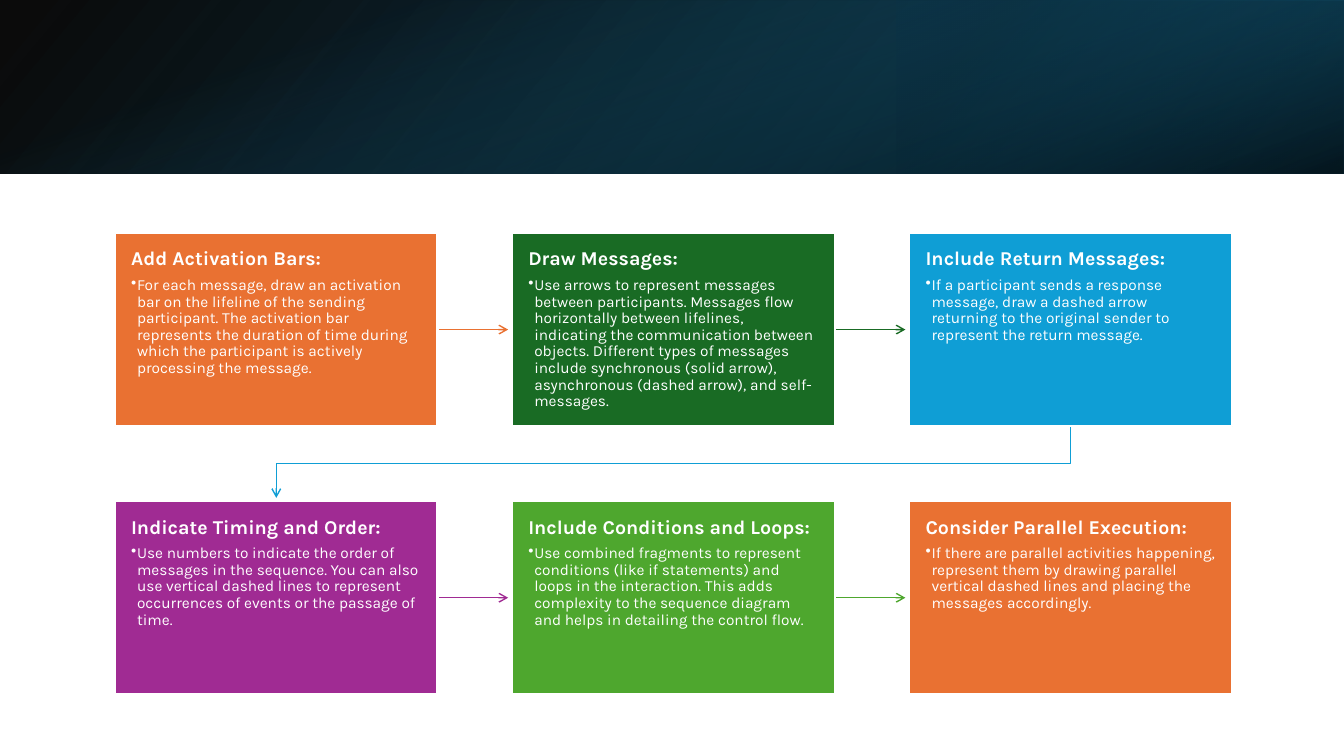
from dataclasses import dataclass

from lxml import etree
from pptx import Presentation
from pptx import util as u
from pptx.dml.color import RGBColor
from pptx.enum import shapes, text
from pptx.oxml import ns


@dataclass(frozen=True)
class Theme:
    font: str = "Karla"
    heading_size: int = 14
    body_size: int = 11
    white: str = "FFFFFF"
    black: str = "000000"
    navy: str = "104862"
    deep_teal: str = "0B3041"
    teal: str = "156082"
    orange: str = "E97132"
    green: str = "196B24"
    blue: str = "0F9ED5"
    purple: str = "A02B93"
    lime: str = "4EA72E"


def apply_format(target, values):
    for name, value in values.items():
        setattr(target, name, value)


def add_child(parent, tag, **attributes):
    return etree.SubElement(parent, ns.qn(tag), attributes)


class SlideBuilder:
    def __init__(self, slide, theme):
        self.slide = slide
        self.theme = theme

    def rectangle(self, left, top, width, height):
        shape = self.slide.shapes.add_shape(
            shapes.MSO_SHAPE.RECTANGLE, *map(u.Inches, (left, top, width, height)))
        shape.shadow.inherit = False
        return shape

    def gradient_band(self, bounds, stops, angle, rotation=0, flip=False):
        """Stops are (position, colour, opacity) in percent; angle is clockwise."""
        band = self.rectangle(*bounds)
        band.rotation = rotation
        if flip:
            band._element.spPr.xfrm.set("flipH", "1")
        band.line.fill.background()
        band.fill.gradient()
        band.fill.gradient_angle = 360 - angle
        for stop, (position, color, opacity) in zip(band.fill.gradient_stops, stops):
            stop.position = position / 100
            stop.color.rgb = RGBColor.from_string(color)
            color_element = stop._gs.find(ns.qn("a:srgbClr"))
            add_child(color_element, "a:alpha", val=str(opacity * 1000))

    def card(self, left, top, width, height, color, heading, body):
        card = self.rectangle(left, top, width, height)
        card.fill.solid()
        card.fill.fore_color.rgb = RGBColor.from_string(color)
        card.line.color.rgb = RGBColor.from_string(self.theme.white)
        card.line.width = u.Pt(1.5)
        frame = card.text_frame
        margins = dict.fromkeys(
            ("margin_left", "margin_top", "margin_right", "margin_bottom"), u.Inches(0.16))
        apply_format(frame, {
            "word_wrap": True, "vertical_anchor": text.MSO_ANCHOR.TOP, **margins})
        self.fill_paragraph(frame.paragraphs[0], heading, self.theme.heading_size, True, 5)
        bullet = frame.add_paragraph()
        properties = bullet._p.get_or_add_pPr()
        indent = u.Inches(0.06)
        properties.set("marL", str(indent))
        properties.set("indent", str(-indent))
        add_child(properties, "a:buChar", char="•")
        bullet.level = 1
        self.fill_paragraph(bullet, body, self.theme.body_size, False, 1.5)
        return card

    def fill_paragraph(self, paragraph, words, size, bold, space_after):
        apply_format(paragraph, {
            "alignment": text.PP_ALIGN.LEFT, "line_spacing": 0.9,
            "space_before": u.Pt(0), "space_after": u.Pt(space_after)})
        run = paragraph.add_run()
        run.text = words
        apply_format(run.font, {"name": self.theme.font, "size": u.Pt(size), "bold": bold})
        run.font.color.rgb = RGBColor.from_string(self.theme.white)

    def arrow_line(self, shape, color):
        shape.line.color.rgb = RGBColor.from_string(color)
        shape.line.width = u.Pt(1)
        add_child(shape.line._get_or_add_ln(), "a:tailEnd", type="arrow")

    def arrow(self, start, end, color):
        connector = self.slide.shapes.add_connector(
            shapes.MSO_CONNECTOR.STRAIGHT, *map(u.Inches, (*start, *end)))
        self.arrow_line(connector, color)
        add_child(connector._element.spPr, "a:effectLst")
        return connector

    def bent_arrow(self, points, color):
        start, *others = [tuple(map(u.Inches, point)) for point in points]
        builder = self.slide.shapes.build_freeform(*start)
        builder.add_line_segments(others, close=False)
        route = builder.convert_to_shape()
        route.fill.background()
        route.shadow.inherit = False
        self.arrow_line(route, color)


def main():
    presentation = Presentation()
    presentation.slide_width = u.Inches(13.33)
    presentation.slide_height = u.Inches(7.5)
    theme = Theme()
    slide = presentation.slides.add_slide(presentation.slide_layouts[6])
    builder = SlideBuilder(slide, theme)

    # Header band in three layers
    builder.gradient_band((0, 0, 13.33, 1.72),
                          [(0, theme.black, 96), (100, theme.navy, 100)], 140, flip=True)
    builder.gradient_band((8.89, 0, 4.44, 1.72),
                          [(19, theme.deep_teal, 68), (100, theme.teal, 79)], 320, 180, True)
    builder.gradient_band((5.8, -5.8, 1.72, 13.33),
                          [(23, theme.teal, 0), (99, theme.black, 74)], 340, 90)

    # Steps, in reading order
    steps = [
        (theme.orange, "Add Activation Bars:",
         "For each message, draw an activation bar on the lifeline of the sending participant. "
         "The activation bar represents the duration of time during which the participant is "
         "actively processing the message."),
        (theme.green, "Draw Messages:",
         "Use arrows to represent messages between participants. Messages flow horizontally "
         "between lifelines, indicating the communication between objects. Different types of "
         "messages include synchronous (solid arrow), asynchronous (dashed arrow), and "
         "self-messages."),
        (theme.blue, "Include Return Messages:",
         "If a participant sends a response message, draw a dashed arrow returning to the "
         "original sender to represent the return message."),
        (theme.purple, "Indicate Timing and Order:",
         "Use numbers to indicate the order of messages in the sequence. You can also use "
         "vertical dashed lines to represent occurrences of events or the passage of time."),
        (theme.lime, "Include Conditions and Loops:",
         "Use combined fragments to represent conditions (like if statements) and loops in the "
         "interaction. This adds complexity to the sequence diagram and helps in detailing the "
         "control flow."),
        (theme.orange, "Consider Parallel Execution:",
         "If there are parallel activities happening, represent them by drawing parallel "
         "vertical dashed lines and placing the messages accordingly."),
    ]

    # Grid of cards; each arrow lies behind the card it leaves
    columns, left, top = 3, 1.14, 2.31
    width, height, column_step, row_step = 3.2, 1.92, 3.94, 2.66
    arrow_length = 0.7
    for index, (color, heading, body) in enumerate(steps):
        row, column = divmod(index, columns)
        x, y = left + column * column_step, top + row * row_step
        arrow = None
        if column < columns - 1:
            middle = y + height / 2
            arrow = builder.arrow(
                (x + width, middle), (x + width + arrow_length, middle), color)
        elif index < len(steps) - 1:
            center, first_center = x + width / 2, left + width / 2
            bottom, turn = y + height, y + (row_step + height) / 2
            builder.bent_arrow([(center, bottom), (center, turn), (first_center, turn),
                                (first_center, y + row_step - 0.03)], color)
        card = builder.card(x, y, width, height, color, heading, body)
        if arrow is not None:
            arrow.begin_connect(card, 3)

    presentation.save("out.pptx")


if __name__ == "__main__":
    main()
